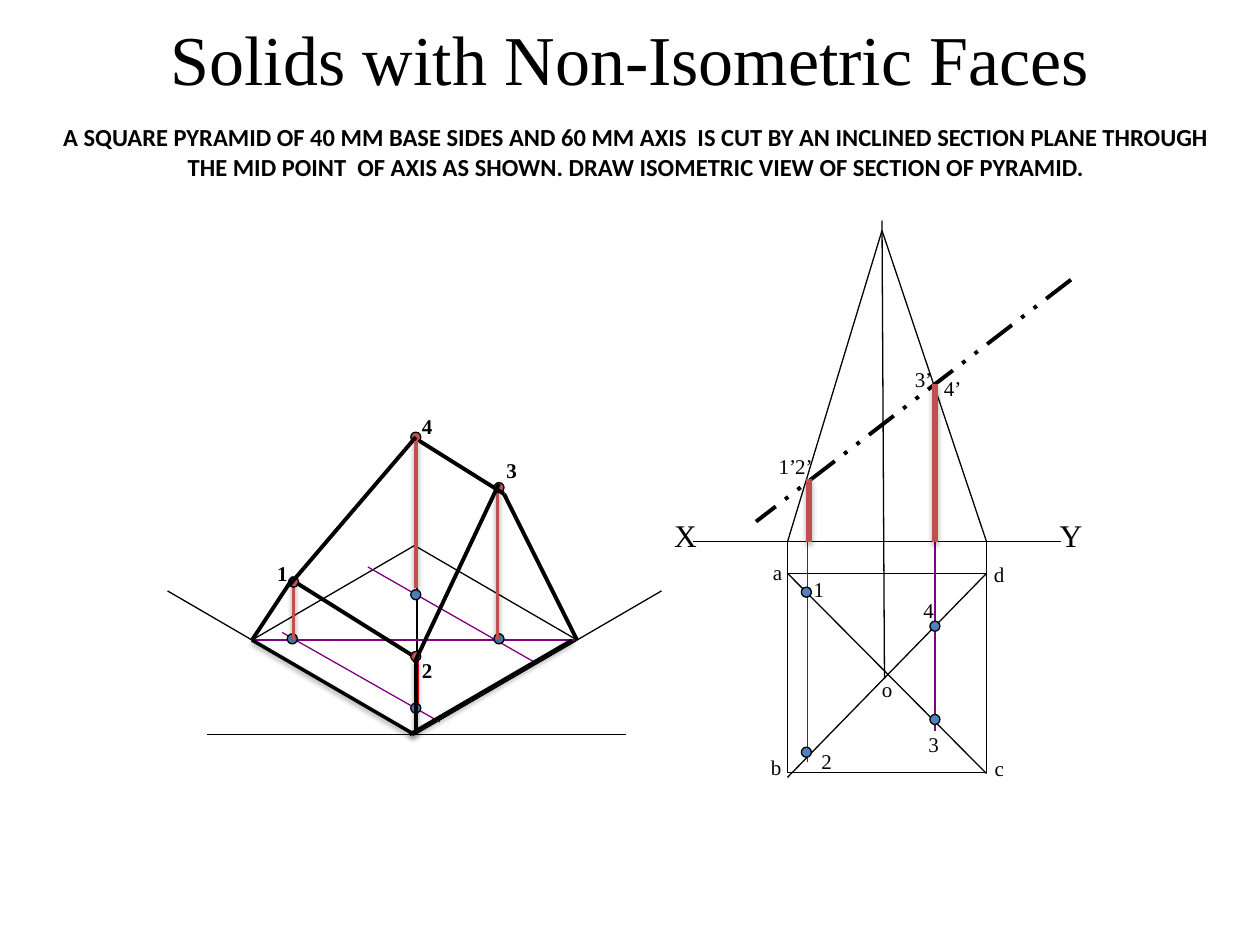
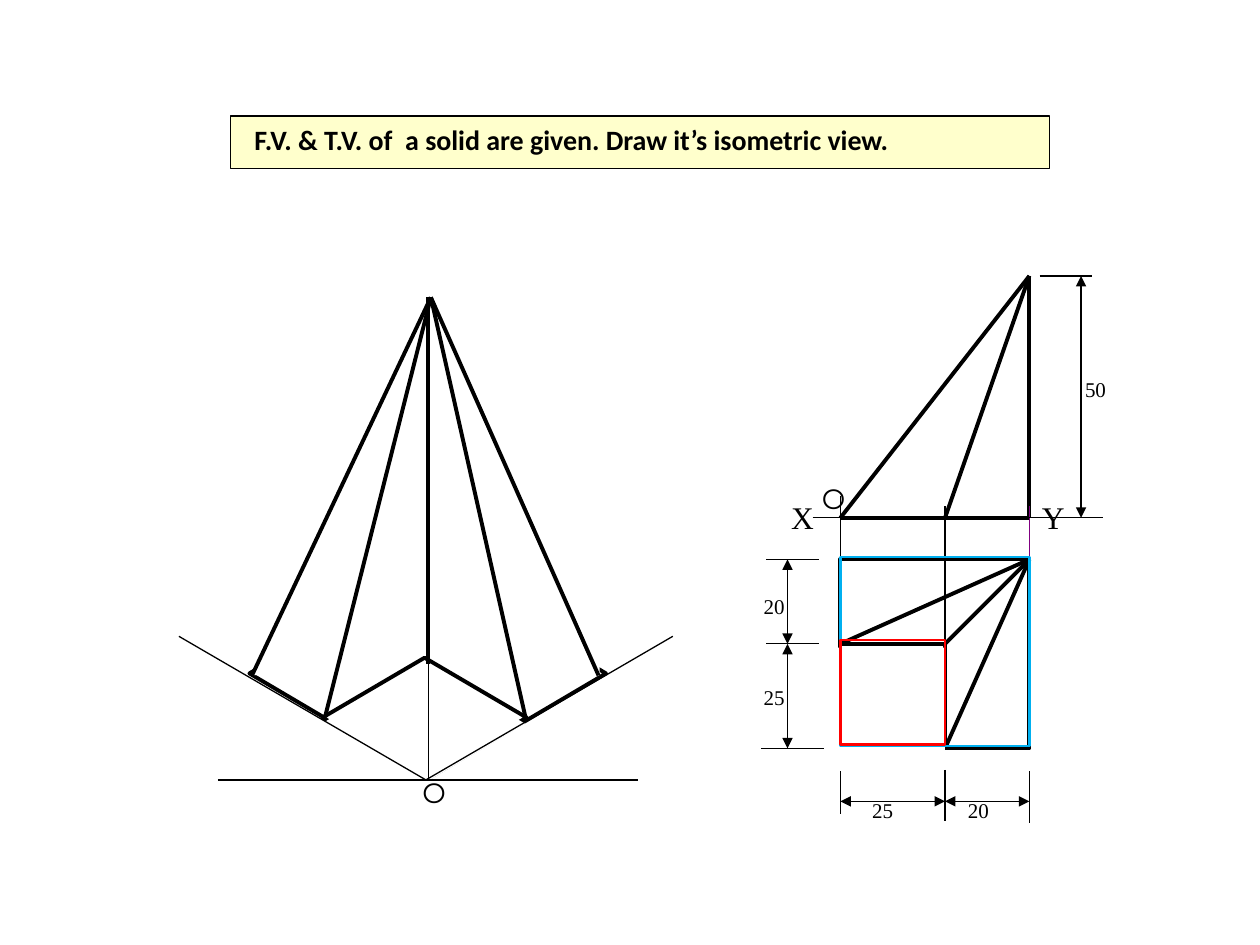
"""Builds two slides on isometric views of solids with non-isometric faces."""
from lxml import etree
from pptx import Presentation, util as u
from pptx.dml.color import RGBColor
from pptx.enum import dml, shapes, text
from pptx.oxml import ns

HEX = dict(black="000000", white="FFFFFF", plum="800080", blue="4F81BD", brick="C0504D",
           red="FF0000", sky="00B0F0", cream="FFFFCC")

PENS = {
    "thin": dict(ink="black", width=0.75),
    "trace": dict(ink="plum", width=0.75),
    "bold": dict(ink="black", width=2.25),
    "cut": dict(ink="black", width=2.25, dash=dml.MSO_LINE.DASH_DOT_DOT),
    "size": dict(ink="black", width=0.75, heads=True),
    "rise": dict(ink="brick", width=2, shade=(38, 20000)),
    "pole": dict(ink="brick", width=3, shade=(35, 23000)),
    "edge": dict(ink="black", width=2, shade=(38, 20000)),
    "mark": dict(ink="red", width=2.25),
}
FORMS = {
    "box": dict(form="RECTANGLE", fill="white", ink="black", width=0.75),
    "face": dict(form="RECTANGLE", fill="white", ink="black", width=2.25),
    "mask": dict(form="RECTANGLE", fill="white"),
    "base": dict(form="DIAMOND", fill="white", ink="black", width=0.75),
    "rim": dict(form="DIAMOND", fill="white", ink="black", width=2.25),
    "hide": dict(form="DIAMOND", fill="white"),
    "band": dict(form="RECTANGLE", fill="cream", ink="black", width=0.75),
    "outer": dict(form="RECTANGLE", ink="sky", width=1.5),
    "inner": dict(form="RECTANGLE", ink="red", width=1.5),
}
DOTS = {"foot": "blue", "tip": "brick"}
SERIF = "Times New Roman"
TEXTS = {
    "label": dict(box=(0.28, 0.3), font=dict(name=SERIF, size=12)),
    "strong": dict(box=(0.28, 0.3), font=dict(name=SERIF, size=12, bold=True)),
    "prime": dict(box=(0.34, 0.3), font=dict(name=SERIF, size=12)),
    "value": dict(box=(0.37, 0.3), font=dict(name=SERIF, size=12)),
    "axis": dict(box=(0.38, 0.4), font=dict(name=SERIF, size=18)),
    "origin": dict(box=(0.39, 0.37), font=dict(name="Montserrat", size=16)),
    "task": dict(box=(9.44, 0.57), wrap=True, font=dict(name="Calibri", size=14, bold=True)),
    "note": dict(box=(5.3, 0.37), align="LEFT", font=dict(name="Calibri", size=16, bold=True)),
    "title": dict(box=(9, 0.75), wrap=True, anchor="MIDDLE", font=dict(name=SERIF, size=40)),
}


def axes(x, y):
    """Isometric axes and ground line through the origin x, y."""
    return [(x, y, x + 1.96, y - 1.14), (x, y, x - 1.96, y - 1.14),
            (x + 0.02, y - 2.33, x + 0.02, y), (x - 1.65, y, x + 1.68, y)]


def rays(apex, ends):
    """Lines from the apex to each end."""
    return [(*apex, *end) for end in ends]


WEST, EAST, XY = 6.25, 7.83, 4.3
PYRAMID = [
    ("base", [(2, 4.33, 2.58, 1.5)]),
    ("box", [(WEST, 4.55, 1.58, 1.58)]),
    ("thin", [(WEST, 4.97, WEST, XY), (EAST, 4.89, EAST, XY), (EAST, 4.55, WEST, 6.17),
              (WEST, 4.55, EAST, 6.14), (7.02, 5.39, 7, 1.75)]
     + rays((7, 1.83), [(WEST, XY), (EAST, XY)])),
    ("cut", [(8.5, 2.22, 6, 4.14)]),
    ("trace", [(6.41, 3.8, 6.41, 6.05), (7.42, 3.05, 7.42, 5.8)]),
    ("foot", [(6.36, 4.66), (6.36, 5.93), (7.38, 4.93), (7.38, 5.67)]),
    ("label", [("a", 6.03, 4.39), ("b", 6.02, 5.94), ("c", 7.79, 5.95), ("d", 7.79, 4.41),
               ("1", 6.36, 4.53), ("2", 6.42, 5.89), ("3", 7.27, 5.76), ("4", 7.23, 4.69),
               ("o", 6.9, 5.32)]),
    ("prime", [("1’", 6.08, 3.55), ("4’", 7.39, 2.93), ("3’", 7.16, 2.86), ("2’", 6.21, 3.55)]),
    ("thin", axes(3.29, 5.83)),
    ("trace", [(2, 5.08, 4.58, 5.08), (2.24, 5.02, 3.49, 5.73), (2.92, 4.5, 4.25, 5.26)]),
    ("foot", [(2.28, 5.03), (3.26, 5.58), (3.92, 5.03), (3.26, 4.68)]),
    ("rise", [(2.33, 4.58, 2.33, 5.08), (3.95, 3.83, 3.95, 5.08)]),
    ("mark", [(3.31, 5.17, 3.31, 5.58)]),
    ("tip", [(3.26, 5.17), (2.29, 4.58), (3.26, 3.43), (3.92, 3.83)]),
    ("bold", [(3.96, 3.84, 3.29, 5.26), (3.3, 3.47, 2.3, 4.64), (3.33, 3.5, 4, 3.92),
              (2.36, 4.63, 3.27, 5.2), (4, 3.92, 4.58, 5.08), (2.33, 4.58, 2, 5.08)]),
    ("strong", [("1", 2.1, 4.4), ("2", 3.25, 5.17), ("4", 3.25, 3.23), ("3", 3.92, 3.58)]),
    ("edge", [(3.25, 5.83, 4.54, 5.08), (3.29, 5.83, 2, 5.08)]),
    ("thin", [(5.5, XY, 8.42, XY)]),
    ("axis", [("X", 5.25, 4.05), ("Y", 8.31, 4.05)]),
    ("pole", [(6.42, 3.8, 6.42, XY), (7.42, 3.05, 7.42, XY)]),
    ("rise", [(3.3, 4.67, 3.3, 3.5)]),
    ("edge", [(3.3, 5.23, 3.3, 5.82)]),
    ("task", [("A SQUARE PYRAMID OF 40 MM BASE SIDES AND 60 MM AXIS  IS CUT BY AN INCLINED "
               "SECTION PLANE THROUGH THE MID POINT  OF AXIS AS SHOWN. DRAW ISOMETRIC VIEW "
               "OF SECTION OF PYRAMID.", 0.33, 0.92)]),
    ("title", [("Solids with Non-Isometric Faces", 0.5, 0.08)]),
]

LEFT, MID, RIGHT = 6.67, 7.5, 8.17
PEAK, FLOOR, BACK, STEP, FRONT = 2.19, 4.11, 4.44, 5.11, 5.94
APEX = (3.42, 2.36)
SOLID = [
    ("rim", [(1.98, 4.51, 2.83, 1.67)]),
    ("mask", [(2.01, 4.36, 2.75, 1)]),
    ("rim", [(2.56, 5.22, 1.62, 0.95)]),
    ("thin", [(3.4, 4.52, 3.4, 2.36)]),
    ("bold", rays(APEX, [(2, 5.36), (2.58, 5.69), (4.17, 5.69), (4.75, 5.36)])
     + [(3.4, 2.36, 3.4, 5.27)]),
    ("hide", [(2.55, 5.27, 1.62, 0.95)]),
    ("thin", axes(3.38, 6.19)),
    ("face", [(LEFT, BACK, 1.5, 1.5), (LEFT, STEP, 0.83, 0.83)]),
    ("bold", rays((RIGHT, BACK), [(LEFT, STEP), (MID, STEP), (MID, FRONT)])),
    ("mask", [(6.58, 5.14, 0.92, 0.92)]),
    ("bold", rays((RIGHT, PEAK), [(x, FLOOR) for x in (LEFT, MID, RIGHT)])),
    ("thin", [(MID, 5.19, MID, 4.02), (LEFT, STEP, LEFT, 3.94), (6.45, FLOOR, 8.25, FLOOR)]),
    ("trace", [(RIGHT, 4.94, RIGHT, 4.02)]),
    ("axis", [("X", 6.18, 3.9), ("Y", 8.17, 3.9)]),
    ("bold", [(LEFT, FLOOR, RIGHT, FLOOR)]),
    ("thin", [(8.25, PEAK, 8.67, PEAK), (RIGHT, FLOOR, 8.75, FLOOR), (6.08, BACK, 6.5, BACK),
              (6.08, STEP, 6.5, STEP), (6.04, FRONT, 6.54, FRONT), (MID, 6.11, MID, 6.52),
              (RIGHT, 6.12, RIGHT, 6.53), (LEFT, 6.12, LEFT, 6.46)]),
    ("size", [(6.25, BACK, 6.25, STEP), (6.25, STEP, 6.25, FRONT), (LEFT, 6.36, MID, 6.36),
              (MID, 6.36, RIGHT, 6.36), (8.58, PEAK, 8.58, FLOOR)]),
    ("value", [("50", 8.51, 2.94), ("20", 5.96, 4.66), ("25", 5.96, 5.38),
               ("25", 6.82, 6.28), ("20", 7.58, 6.28)]),
    ("origin", [("O", 6.42, 3.77), ("O", 3.25, 6.11)]),
    ("band", [(1.83, 0.92, 6.5, 0.42)]),
    ("note", [("F.V. & T.V. of  a solid are given. Draw it’s isometric view.", 1.92, 0.92)]),
    ("outer", [(LEFT, 4.42, 1.5, 1.5)]),
    ("inner", [(LEFT, 5.08, 0.83, 0.83)]),
]


def tone(name):
    return RGBColor.from_string(HEX[name])


def node(up, tag, **vals):
    return etree.SubElement(up, ns.qn("a:" + tag), vals)


def ink_line(line, ink, width):
    line.color.rgb = tone(ink)
    line.width = u.Pt(width)


def add_line(slide, ends, ink, width, dash=None, heads=False, shade=None):
    part = slide.shapes.add_connector(shapes.MSO_CONNECTOR.STRAIGHT, *map(u.Inches, ends))
    ink_line(part.line, ink, width)
    if dash:
        part.line.dash_style = dash
    if heads:
        for tag in ("headEnd", "tailEnd"):
            node(part._element.spPr.find(ns.qn("a:ln")), tag, type="triangle")
    glow = node(part._element.spPr, "effectLst")
    if shade:
        alpha, dist = shade
        cast = node(glow, "outerShdw", blurRad="40000", dist=str(dist), dir="5400000",
                    rotWithShape="0")
        node(node(cast, "srgbClr", val=HEX["black"]), "alpha", val=str(alpha * 1000))


def add_form(slide, place, form, fill=None, ink=None, width=0):
    kind = getattr(shapes.MSO_SHAPE, form)
    part = slide.shapes.add_shape(kind, *map(u.Inches, place))
    part.shadow.inherit = False
    if fill:
        part.fill.solid()
        part.fill.fore_color.rgb = tone(fill)
    else:
        part.fill.background()
    if ink:
        ink_line(part.line, ink, width)
    else:
        part.line.fill.background()


def add_text(slide, item, box, font, wrap=False, align="CENTER", anchor="TOP"):
    words, x, y = item
    frame = slide.shapes.add_textbox(*map(u.Inches, (x, y, *box))).text_frame
    frame.word_wrap = wrap
    frame.vertical_anchor = getattr(text.MSO_ANCHOR, anchor)
    para = frame.paragraphs[0]
    para.alignment = getattr(text.PP_ALIGN, align)
    run = para.add_run()
    run.text = words
    for key, val in {**font, "size": u.Pt(font["size"])}.items():
        setattr(run.font, key, val)
    run.font.color.rgb = tone("black")


def draw(slide, layers):
    for style, items in layers:
        for item in items:
            if style in PENS:
                add_line(slide, item, **PENS[style])
            elif style in FORMS:
                add_form(slide, item, **FORMS[style])
            elif style in DOTS:
                add_form(slide, (*item, 0.08, 0.08), "OVAL", DOTS[style], "black", 0.75)
            else:
                add_text(slide, item, **TEXTS[style])


def main():
    deck = Presentation()
    deck.slide_width, deck.slide_height = u.Inches(10), u.Inches(7.5)
    for layers in (PYRAMID, SOLID):
        draw(deck.slides.add_slide(deck.slide_layouts[6]), layers)
    deck.save("out.pptx")


if __name__ == "__main__":
    main()
